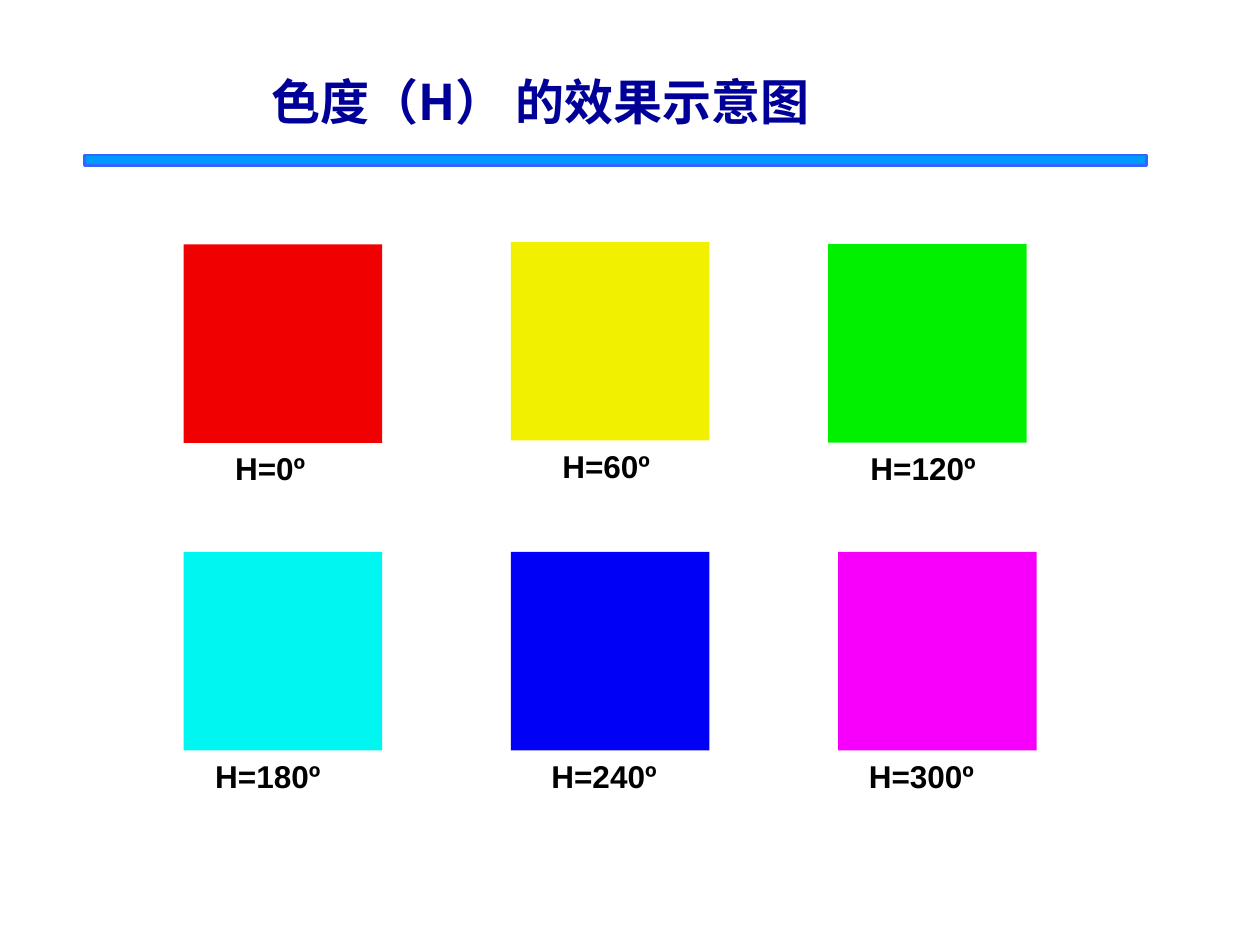
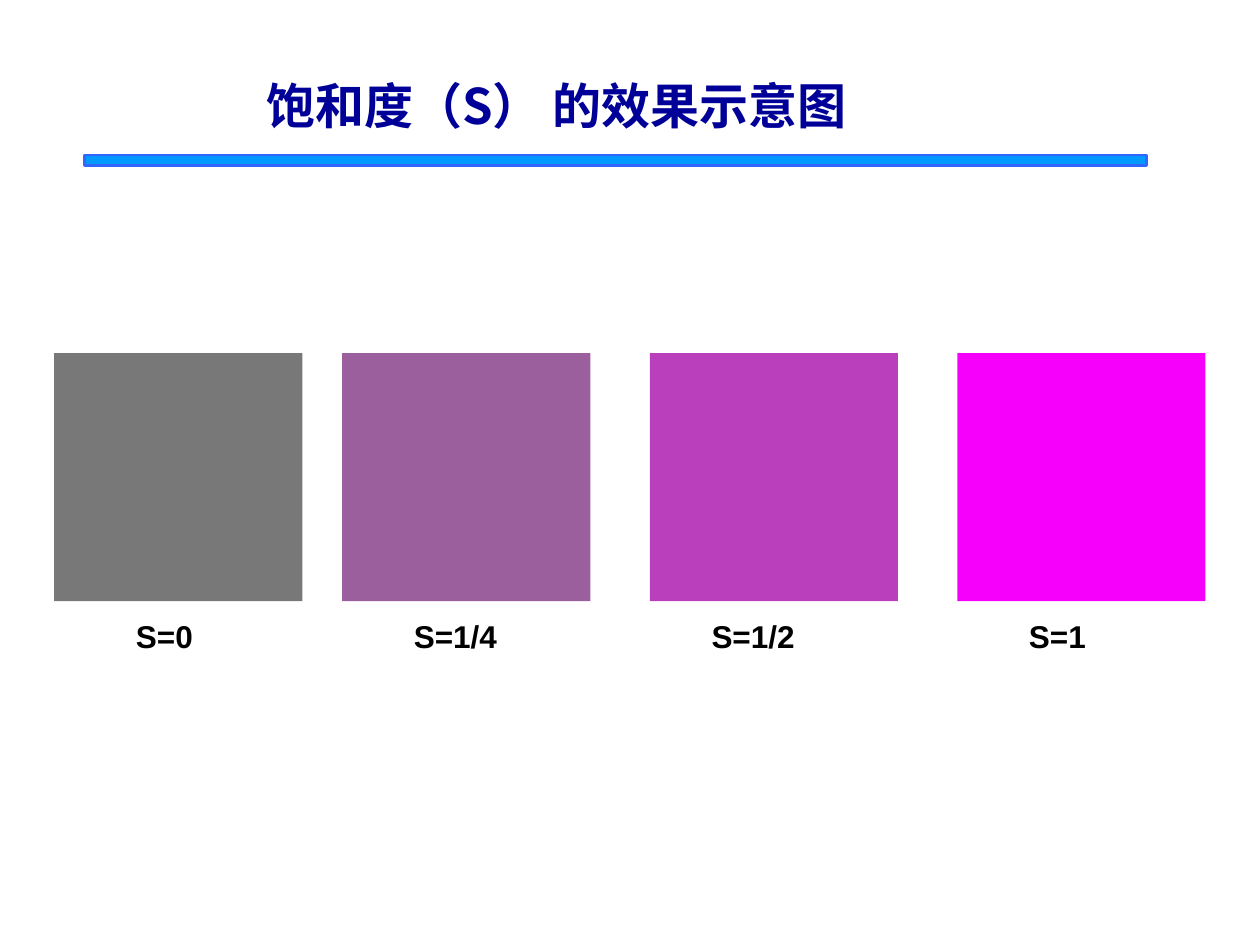
from dataclasses import dataclass

from lxml import etree
from pptx import Presentation
from pptx.dml.color import RGBColor
from pptx.enum.shapes import MSO_SHAPE
from pptx.enum.text import MSO_ANCHOR, PP_ALIGN
from pptx.oxml.ns import qn
from pptx.util import Pt

RECT = MSO_SHAPE.RECTANGLE
LEFT, CENTER = PP_ALIGN.LEFT, PP_ALIGN.CENTER
TOP, MIDDLE = MSO_ANCHOR.TOP, MSO_ANCHOR.MIDDLE


@dataclass(frozen=True)
class Theme:
    title: str = "000099"
    text: str = "000000"
    band: str = "0099FF"
    edge: str = "3366FF"
    head_font: str = "Noto Sans CJK SC"
    body_font: str = "Arial"
    head_size: int = 28
    body_size: int = 18


class Deck:
    """Holds the theme and the slide being built."""

    def __init__(self, theme):
        self.theme = theme
        self.file = Presentation()
        self.file.slide_width, self.file.slide_height = Pt(720), Pt(540)
        self.slide = None

    def page(self, title, box):
        """Start a slide with the shared band and title style."""
        look = self.theme
        self.slide = self.file.slides.add_slide(self.file.slide_layouts[6])
        self.rect((48.2, 88.6, 607, 5.8), look.band, look.edge)
        self.text(box, title, look.head_font, look.head_size, look.title,
                  CENTER, MIDDLE)

    def rect(self, box, fill, edge=None):
        shape = self.slide.shapes.add_shape(RECT, *map(Pt, box))
        shape.shadow.inherit = False
        shape.fill.solid()
        shape.fill.fore_color.rgb = RGBColor.from_string(fill)
        if edge:
            shape.line.color.rgb = RGBColor.from_string(edge)
            shape.line.width = Pt(1.5)
        else:
            shape.line.fill.background()

    def text(self, box, words, face, size, color, align=LEFT, anchor=TOP):
        frame = self.slide.shapes.add_textbox(*map(Pt, box)).text_frame
        frame.word_wrap = True
        frame.vertical_anchor = anchor
        para = frame.paragraphs[0]
        para.alignment = align
        run = para.add_run()
        run.text = words
        style = {"name": face, "size": Pt(size), "bold": True}
        for key, value in style.items():
            setattr(run.font, key, value)
        run.font.color.rgb = RGBColor.from_string(color)
        # East Asian glyphs use the same face
        east = etree.SubElement(run.font._element, qn("a:ea"))
        east.set("typeface", face)

    def swatch(self, left, top, side, fill, words, shift, wide, gap=0):
        """Draw a colour square with its label underneath."""
        look = self.theme
        self.rect((left, top, side, side), fill)
        self.text((left + shift, top + side + gap, wide, 28.8), words,
                  look.body_font, look.body_size, look.text)


# Label widths
SHORT, LONG = 67.7, 85

# Hue: left, top, fill, angle, label shift, label width
HUES = [
    (105, 139.7, "F00000", 0, 22.3, SHORT),
    (292, 138.3, "F0F000", 60, 22.3, SHORT),
    (473.2, 139.5, "00F000", 120, 17.1, LONG),
    (105, 315.4, "00F6F0", 180, 10.9, LONG),
    (292, 315.4, "0000F6", 240, 16, LONG),
    (479, 315.4, "F600FC", 300, 10.4, LONG),
]

# Saturation: left, fill, level, label shift, label width
LEVELS = [
    (31, "787878", "0", 39.6, SHORT),
    (195.6, "9C5F9D", "1/4", 33.8, LONG),
    (371.4, "BA3FBD", "1/2", 28.1, LONG),
    (547.1, "F600FC", "1", 33.8, LONG),
]


def main():
    deck = Deck(Theme())

    # Hue grid
    deck.page("色度（H） 的效果示意图", (121.7, 37.4, 374.4, 41))
    for left, top, fill, angle, shift, wide in HUES:
        deck.swatch(left, top, 113.4, fill, f"H={angle}º", shift, wide)

    # Saturation row
    deck.page("饱和度（S） 的效果示意图", (115.9, 43.2, 403.9, 33.8))
    for left, fill, level, shift, wide in LEVELS:
        deck.swatch(left, 201.8, 141.8, fill, f"S={level}", shift, wide, 5.6)

    deck.file.save("out.pptx")


if __name__ == "__main__":
    main()
